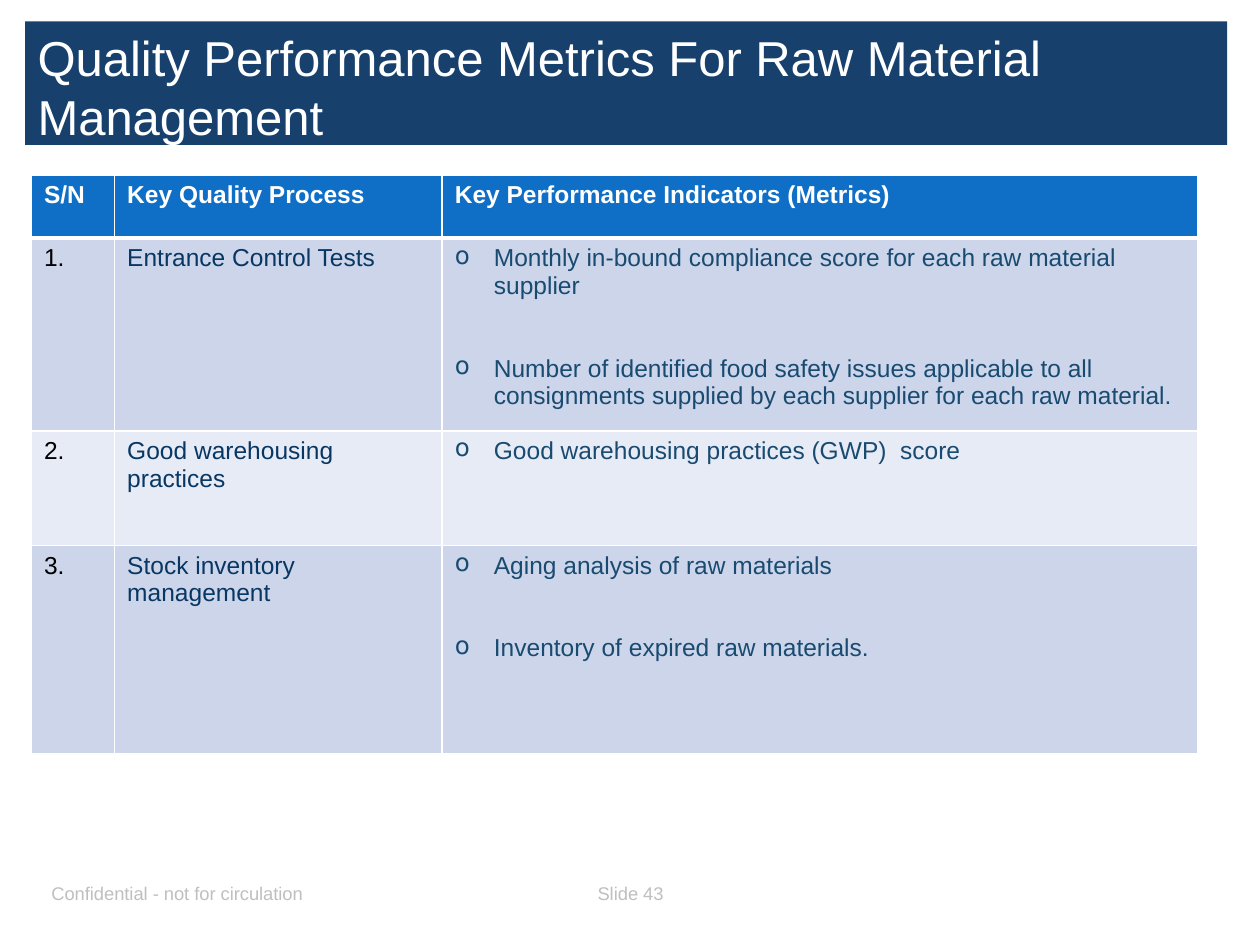
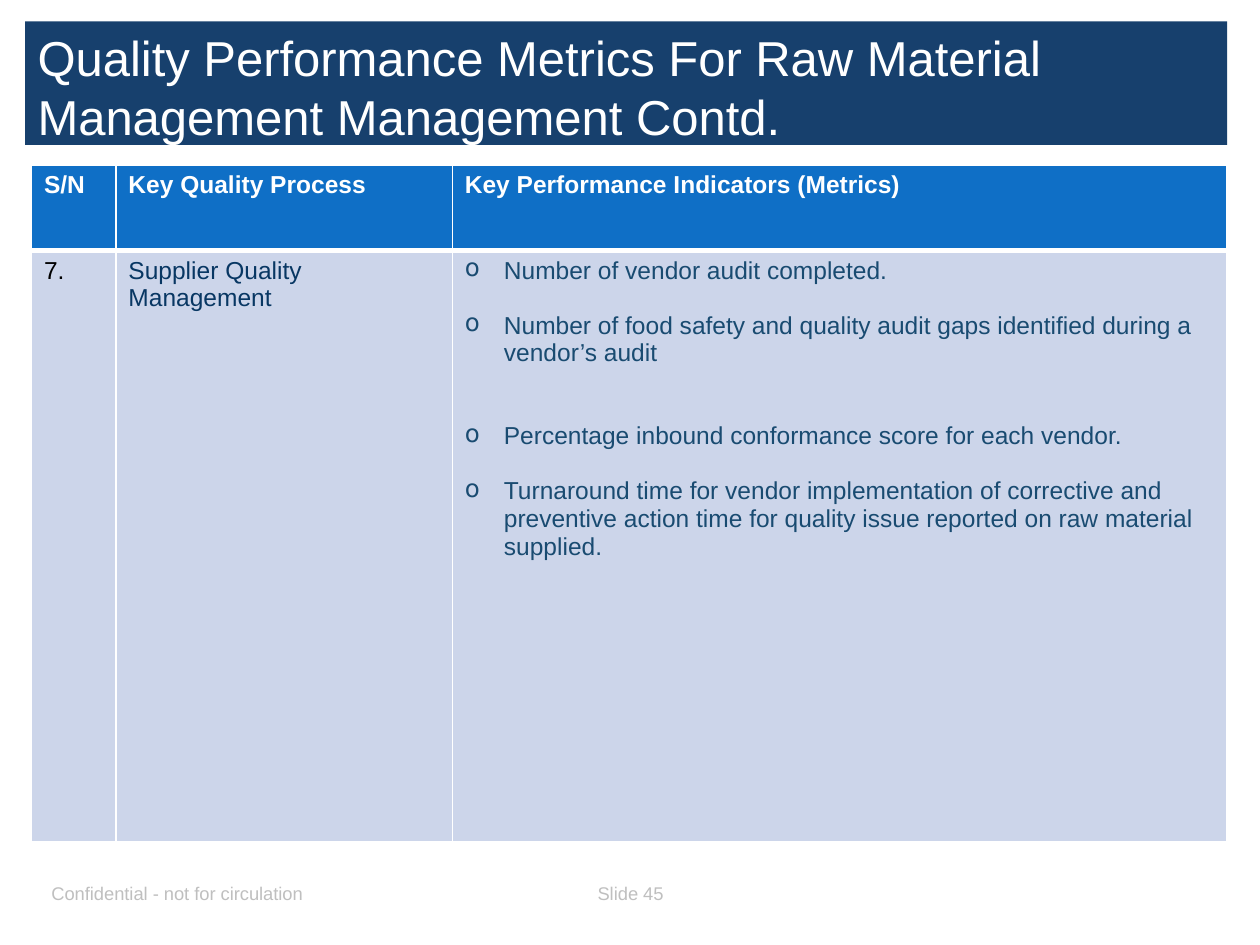
from dataclasses import dataclass

from lxml import etree
from pptx import Presentation
from pptx.dml.color import RGBColor
from pptx.enum import shapes, text
from pptx.oxml import ns
from pptx.util import Inches, Pt

FOOTER = "Confidential - not for circulation"
HEADINGS = ("S/N", "Key Quality Process", "Key Performance Indicators (Metrics)")

# Each metric is (blank lines above it, wording).
SLIDES = [
    {
        "title": "Quality Performance Metrics For Raw Material Management",
        "number": 43,
        "table_top": 1.39,
        "columns": (0.66, 2.6, 6),
        "row_heights": (0.5, 1.53, 0.91, 1.65),
        "processes": [
            ("1.", "Entrance Control Tests", [
                (0, "Monthly in-bound compliance score for each raw material supplier"),
                (2, "Number of identified food safety issues applicable to all "
                    "consignments supplied by each supplier for each raw material."),
            ]),
            ("2.", "Good warehousing practices", [
                (0, "Good warehousing practices (GWP)  score"),
            ]),
            ("3.", "Stock inventory management", [
                (0, "Aging analysis of raw materials"),
                (2, "Inventory of expired raw materials."),
            ]),
        ],
    },
    {
        "title": "Quality Performance Metrics For Raw Material Management Management Contd.",
        "number": 45,
        "table_top": 1.31,
        "columns": (0.67, 2.67, 6.15),
        "row_heights": (0.68, 4.69),
        "processes": [
            ("7.", "Supplier Quality Management", [
                (0, "Number of vendor audit completed."),
                (1, "Number of food safety and quality audit gaps identified "
                    "during a vendor’s audit"),
                (2, "Percentage inbound conformance score for each vendor."),
                (1, "Turnaround time for vendor implementation of corrective and "
                    "preventive action time for quality issue reported on raw "
                    "material supplied."),
            ]),
        ],
    },
]


@dataclass(frozen=True)
class Theme:
    font: str = "Arial"
    title_size: float = 28
    table_size: float = 14
    footer_size: float = 10.5
    table_line: float = 15.8
    white: str = "FFFFFF"
    band: str = "17406D"
    header: str = "0F6FC6"
    rows: tuple = ("CCD5EA", "E7EBF5")
    column_text: tuple = ("000000", "083763", "194B71")
    footer: str = "BFBFBF"


THEME = Theme()
TABLE_LEFT = 0.25
BULLET_INDENT = Inches(0.31)


def style(paragraph, size, color, bold=False):
    font = paragraph.font
    font.name, font.size, font.bold = THEME.font, Pt(size), bold
    font.color.rgb = RGBColor.from_string(color)


def add_bullet(paragraph):
    properties = paragraph._p.get_or_add_pPr()
    properties.set("marL", str(BULLET_INDENT))
    properties.set("indent", str(-BULLET_INDENT))
    etree.SubElement(properties, ns.qn("a:buChar"), char="o")


def set_borders(cell, bottom_width):
    properties = cell._tc.get_or_add_tcPr()
    widths = {"lnL": 1, "lnR": 1, "lnT": 1, "lnB": bottom_width}
    for position, (side, width) in enumerate(widths.items()):
        line = etree.Element(ns.qn(f"a:{side}"), w=str(Pt(width)))
        fill = etree.SubElement(line, ns.qn("a:solidFill"))
        etree.SubElement(fill, ns.qn("a:srgbClr"), val=THEME.white)
        properties.insert(position, line)


def fill_cell(cell, lines, fill, color, header=False, bulleted=False):
    """Write (blank lines above, wording) pairs and paint the cell."""
    cell.fill.solid()
    cell.fill.fore_color.rgb = RGBColor.from_string(fill)
    set_borders(cell, 3 if header else 1)
    frame = cell.text_frame
    for index, (gap, wording) in enumerate(lines):
        paragraph = frame.add_paragraph() if index else frame.paragraphs[0]
        paragraph.text = wording
        if gap:
            paragraph.space_before = Pt(gap * THEME.table_line)
        if bulleted:
            add_bullet(paragraph)
        style(paragraph, THEME.table_size, color, header)


def add_metrics_table(slide, content):
    columns, heights = content["columns"], content["row_heights"]
    table = slide.shapes.add_table(
        len(heights), len(columns), Inches(TABLE_LEFT), Inches(content["table_top"]),
        Inches(sum(columns)), Inches(sum(heights))).table
    for column, width in zip(table.columns, columns):
        column.width = Inches(width)
    for row, height in zip(table.rows, heights):
        row.height = Inches(height)
    for cell, heading in zip(table.rows[0].cells, HEADINGS):
        fill_cell(cell, [(0, heading)], THEME.header, THEME.white, header=True)
    for index, (number, process, metrics) in enumerate(content["processes"]):
        columns_of_lines = ([(0, number)], [(0, process)], metrics)
        cells = table.rows[index + 1].cells
        for cell, lines, color in zip(cells, columns_of_lines, THEME.column_text):
            fill_cell(cell, lines, THEME.rows[index % 2], color, bulleted=lines is metrics)


def add_title_band(slide, title):
    band = slide.shapes.add_shape(
        shapes.MSO_SHAPE.RECTANGLE, Inches(0.2), Inches(0.17), Inches(9.54), Inches(0.98))
    band.shadow.inherit = False
    band.fill.solid()
    band.fill.fore_color.rgb = RGBColor.from_string(THEME.band)
    band.line.fill.background()
    frame = band.text_frame
    frame.word_wrap = True
    frame.vertical_anchor = text.MSO_ANCHOR.TOP
    paragraph = frame.paragraphs[0]
    paragraph.text = title
    paragraph.alignment = text.PP_ALIGN.LEFT
    paragraph.space_before = Pt(0.2 * THEME.title_size)
    style(paragraph, THEME.title_size, THEME.white)


def add_footer(slide, left, width, wording, alignment):
    box = slide.shapes.add_textbox(Inches(left), Inches(6.95), Inches(width), Inches(0.4))
    box.text_frame.word_wrap = True
    paragraph = box.text_frame.paragraphs[0]
    paragraph.text = wording
    paragraph.alignment = alignment
    style(paragraph, THEME.footer_size, THEME.footer)


def main():
    presentation = Presentation()
    presentation.slide_width, presentation.slide_height = Inches(10), Inches(7.5)
    for content in SLIDES:
        slide = presentation.slides.add_slide(presentation.slide_layouts[6])
        add_metrics_table(slide, content)
        add_footer(slide, 0.31, 3.38, FOOTER, text.PP_ALIGN.LEFT)
        add_footer(slide, 3.88, 2.25, f"Slide {content['number']}", text.PP_ALIGN.CENTER)
        add_title_band(slide, content["title"])
    presentation.save("out.pptx")


if __name__ == "__main__":
    main()
